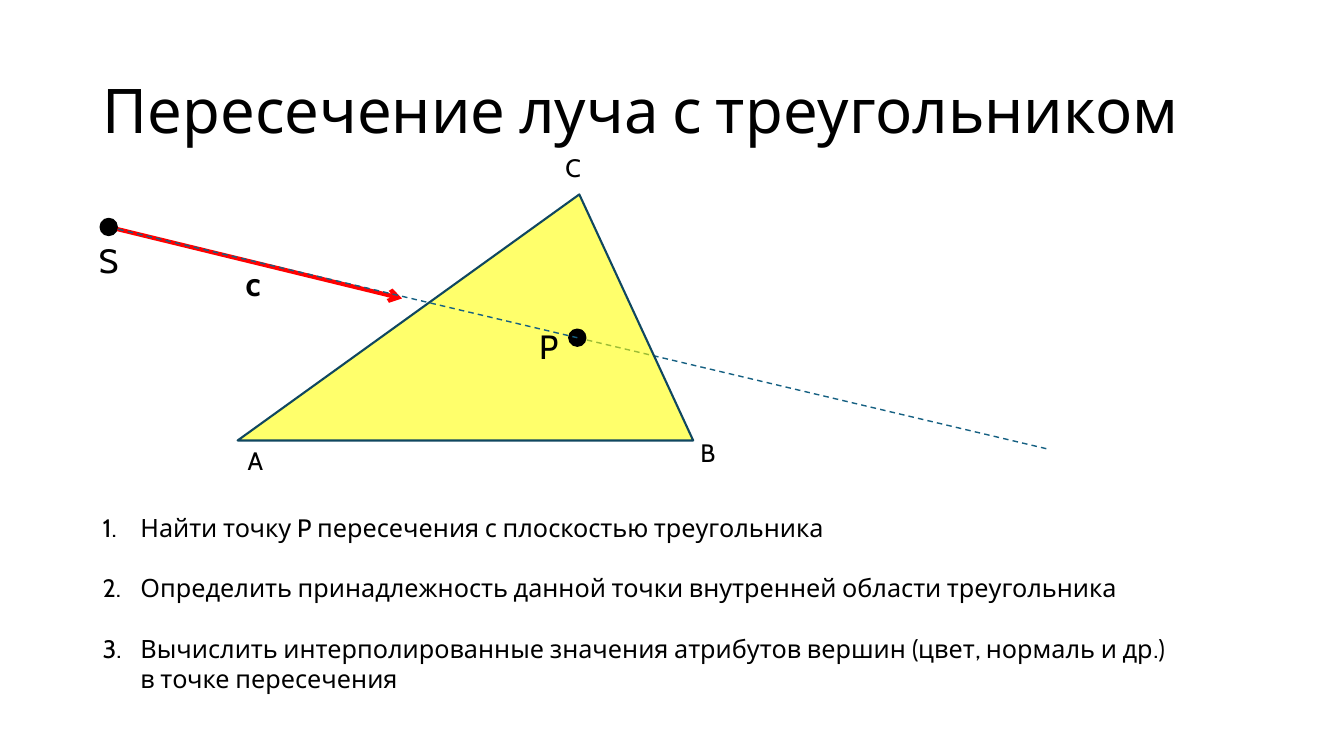
from lxml import etree
from pptx import Presentation
from pptx import util as u
from pptx.dml.color import RGBColor
from pptx.enum import dml, shapes, text
from pptx.oxml.ns import qn

# Content, lengths in cm
FONT = "Cabin"
HEX = {"ink": "000000", "ray": "156082", "edge": "104760", "face": "FFFF00", "arrow": "FF0000"}
TITLE = "Пересечение луча с треугольником"
STEPS = [
    "Найти точку P пересечения с плоскостью треугольника",
    "Определить принадлежность данной точки внутренней области треугольника",
    "Вычислить интерполированные значения атрибутов вершин (цвет, нормаль и др.) в точке пересечения",
]
SOURCE, HIT = (2.74, 5.72), (14.55, 8.51)
TIP, END = (10.13, 7.52), (26.47, 11.33)
FACE = (5.99, 4.9, 11.48, 6.2)
DOT = 0.41
# Label: text, left, top, width, height, size, bold
LABELS = [
    ("A", 5.99, 11.1, 0.89, 1.02, 18, False),
    ("B", 17.4, 10.9, 0.89, 1.02, 18, False),
    ("C", 14.0, 3.71, 0.89, 1.02, 18, False),
    ("P", 13.34, 8.1, 1.19, 1.27, 24, False),
    ("c", 5.94, 6.5, 0.99, 1.27, 24, True),
    ("S", 2.24, 5.92, 0.99, 1.27, 24, False),
]

deck = Presentation()
deck.slide_width, deck.slide_height = u.Cm(33.87), u.Cm(19.05)
slide = deck.slides.add_slide(deck.slide_layouts[6])


def cm(*nums):
    return [u.Cm(n) for n in nums]


def rgb(name):
    return RGBColor.from_string(HEX[name])


def style(par, size, bold=False):
    font = par.font
    font.name, font.size, font.bold = FONT, u.Pt(size), bold
    font.color.rgb = rgb("ink")


def write(words, box, size, bold=False, wrap=True):
    frame = slide.shapes.add_textbox(*cm(*box)).text_frame
    frame.word_wrap = wrap
    frame.text = words
    for par in frame.paragraphs:
        style(par, size, bold)
    return frame


def line(start, end, color, width, dash=False, head=False):
    link = slide.shapes.add_connector(shapes.MSO_CONNECTOR.STRAIGHT, *cm(*start, *end))
    link.line.color.rgb = rgb(color)
    link.line.width = u.Pt(width)
    if dash:
        link.line.dash_style = dml.MSO_LINE.DASH
    if head:
        etree.SubElement(link.line._get_or_add_ln(), qn("a:tailEnd"), type="arrow")
    etree.SubElement(link._element.spPr, qn("a:effectLst"))


def shape(kind, box, fill, edge):
    item = slide.shapes.add_shape(kind, *cm(*box))
    item.shadow.inherit = False
    item.fill.solid()
    item.fill.fore_color.rgb = rgb(fill)
    item.line.color.rgb = rgb(edge)
    item.line.width = u.Pt(1.5)
    return item


def dot(x, y):
    box = (x - DOT / 2, y - DOT / 2, DOT, DOT)
    shape(shapes.MSO_SHAPE.OVAL, box, "ink", "ink")


# Ray behind the triangle
line(HIT, END, "ray", 1, dash=True)

# Title
head = write(TITLE, (2.34, 1.02, 29.21, 3.68), 44)
head.vertical_anchor = text.MSO_ANCHOR.MIDDLE
head.paragraphs[0].line_spacing = 0.9

# Translucent triangle
face = shape(shapes.MSO_SHAPE.ISOSCELES_TRIANGLE, FACE, "face", "edge")
face.adjustments[0] = 0.75
tint = face.fill._xPr.find(qn("a:solidFill"))[0]
etree.SubElement(tint, qn("a:alpha"), val="58000")

# Ray in front, its direction and the two points
dot(*HIT)
line(SOURCE, TIP, "arrow", 3, head=True)
line(SOURCE, HIT, "ray", 1, dash=True)
dot(*SOURCE)

# Labels
for name, *box, size, bold in LABELS:
    write(name, box, size, bold, wrap=size > 18)

# Numbered steps
steps = write("\n".join(STEPS), (2.34, 12.78, 27.51, 4.88), 18)
for i, par in enumerate(steps.paragraphs):
    props = par._p.get_or_add_pPr()
    props.set("marL", str(u.Cm(0.95)))
    props.set("indent", str(-u.Cm(0.95)))
    mark = etree.Element(qn("a:buFont"), typeface=FONT)
    num = etree.Element(qn("a:buAutoNum"), type="arabicPeriod")
    props.insert(0, mark)
    props.insert(1, num)
    if i:
        par.space_before = u.Pt(21.6)

deck.save("out.pptx")
